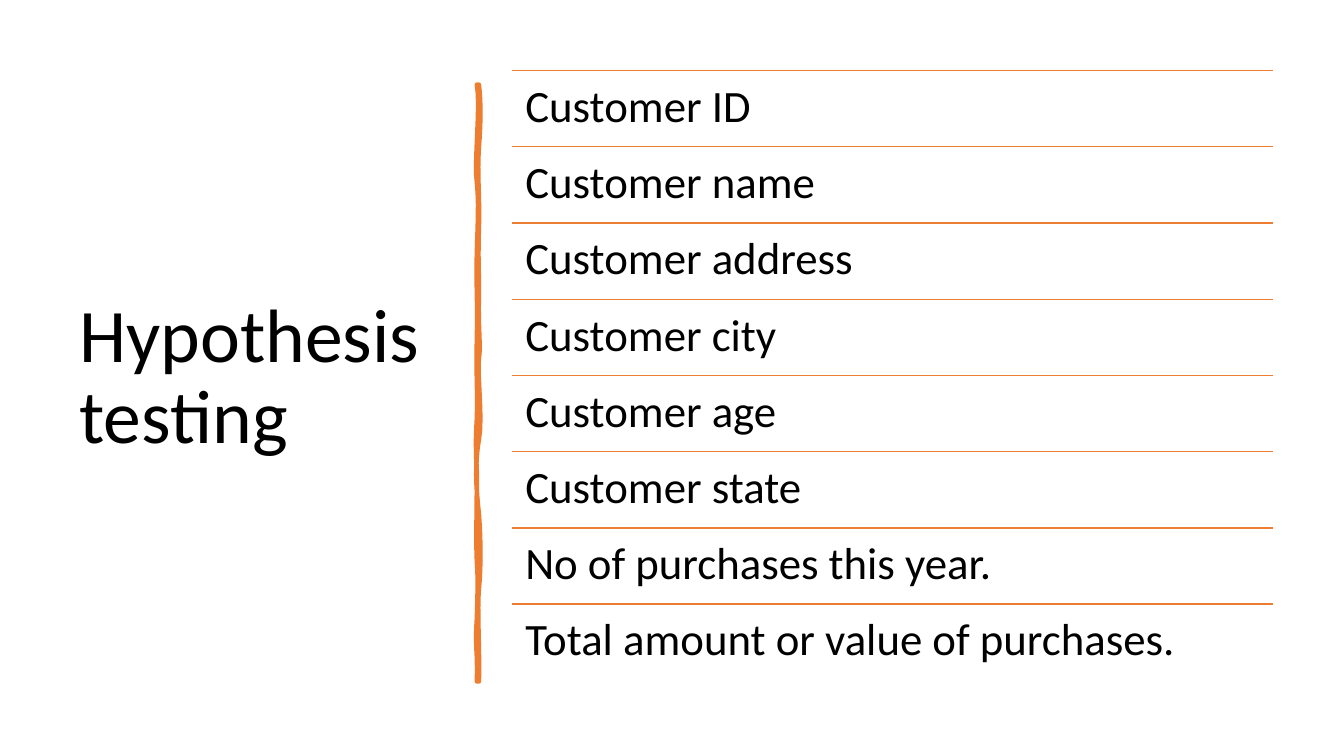
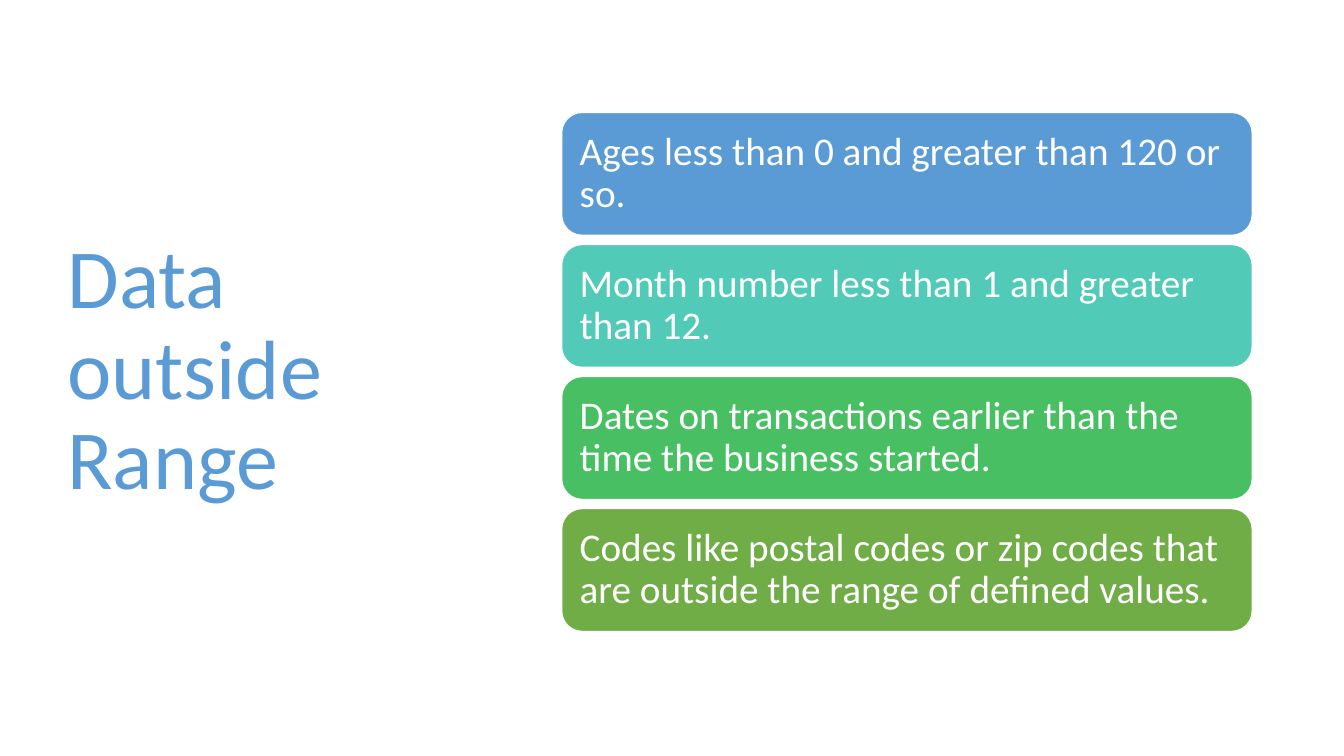
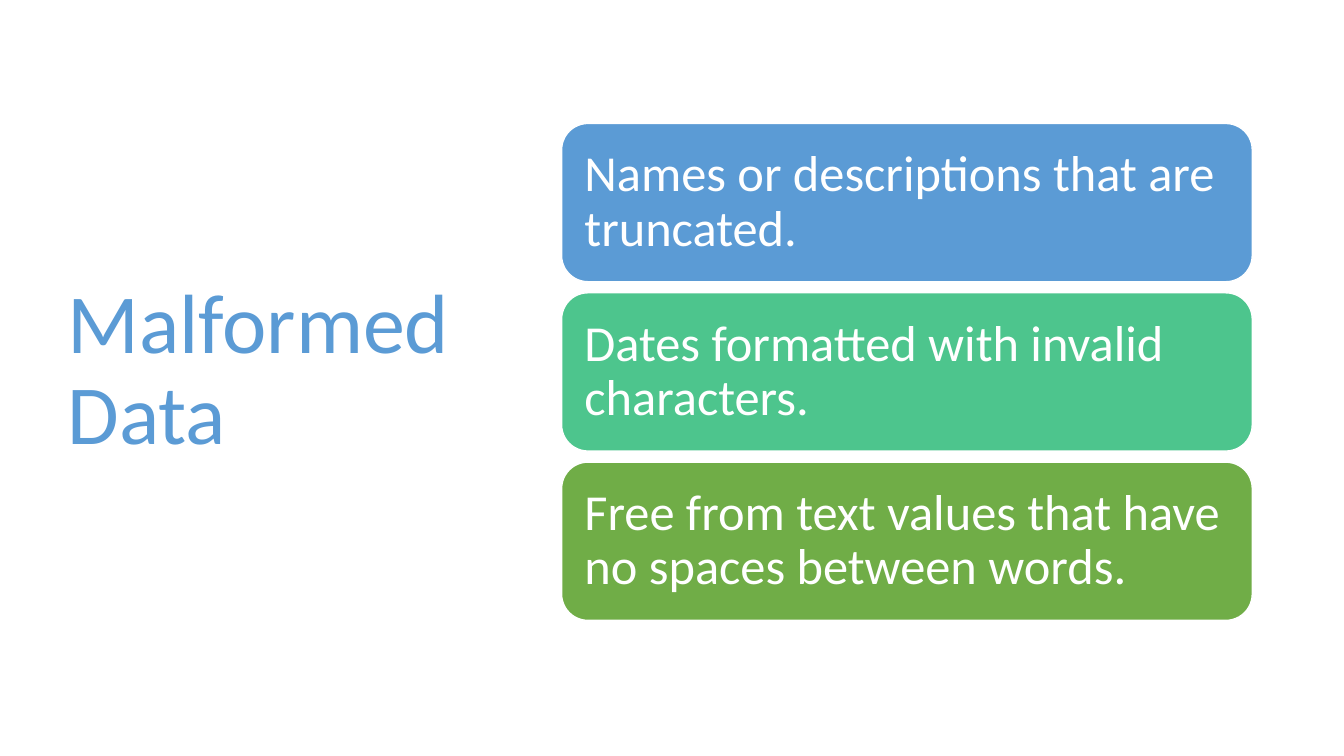
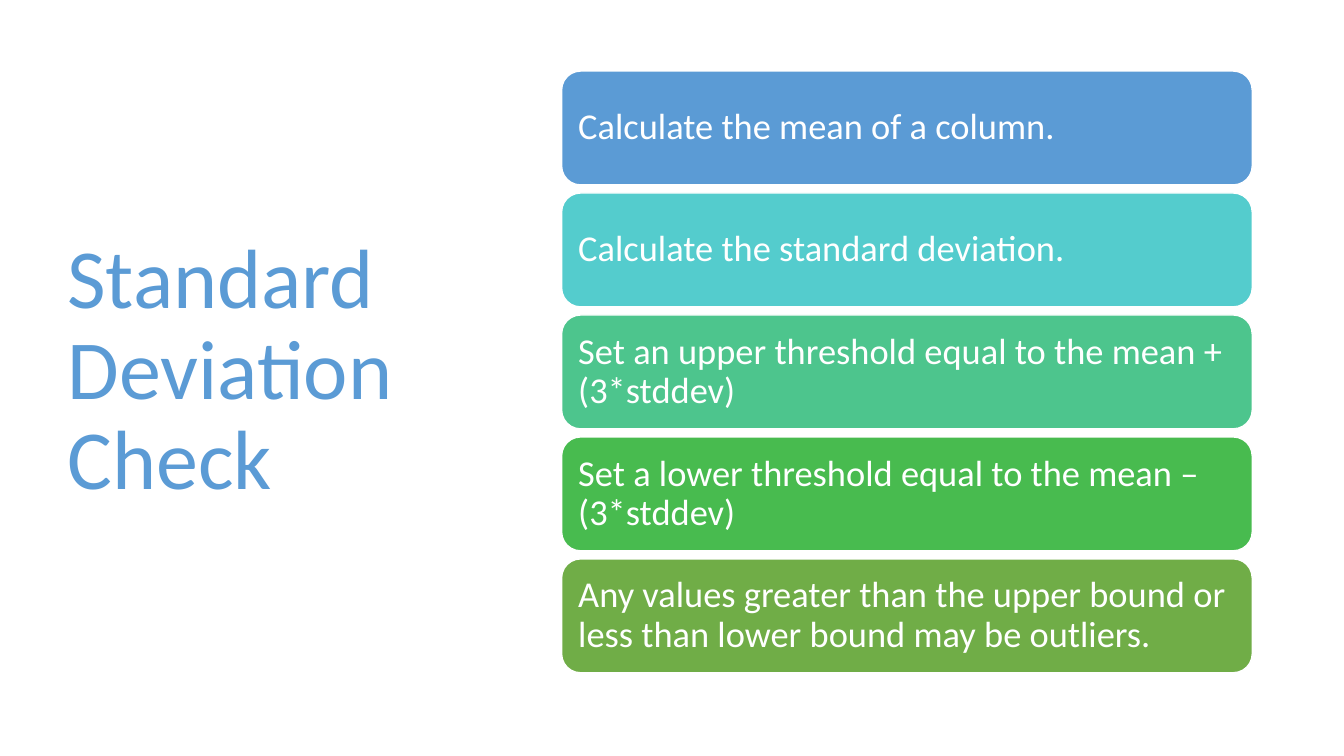
from pptx import Presentation
from pptx.dml.color import RGBColor
from pptx.enum.shapes import MSO_CONNECTOR, MSO_SHAPE
from pptx.enum.text import MSO_ANCHOR, PP_ALIGN
from pptx.oxml.ns import qn
from pptx.util import Emu, Pt
from lxml.etree import SubElement

SCALE = 9144
FONT = "Calibri"
BLACK, WHITE = "000000", "FFFFFF"
BLUE, ORANGE = "5B9BD5", "ED7D31"
AQUA, TEAL, MINT = "54CCCD", "52CAB8", "4DC58D"
GREEN, LEAF, OLIVE = "49BF64", "48BB4F", "70AD47"

FIELDS = (
    "Customer ID",
    "Customer name",
    "Customer address",
    "Customer city",
    "Customer age",
    "Customer state",
    "No of purchases this year.",
    "Total amount or value of purchases.",
)
RIGHT = (
    ((4, 18), (4, 35), (2, 62)),
    ((0, 89), (3, 111), (2, 142)),
    ((1, 173), (2, 178), (2, 210)),
    ((1, 241), (4, 258), (2, 272)),
    ((0, 286), (6, 330), (2, 352)),
    ((-2, 373), (-1, 400), (2, 426)),
    ((4, 452), (4, 480), (2, 500)),
    ((0, 519), (3, 566), (2, 592)),
)
LEFT = (
    ((1, 562), (-2, 560), (0, 529)),
    ((1, 499), (1, 486), (0, 473)),
    ((-1, 460), (0, 411), (0, 393)),
    ((0, 375), (-2, 361), (0, 331)),
    ((1, 302), (-1, 289), (0, 251)),
    ((1, 214), (-1, 197), (0, 166)),
    ((1, 134), (2, 116), (0, 97)),
    ((-3, 79), (4, 20), (0, 0)),
)
CHECKS = (
    ("Data outside Range", 28, (
        ("Ages less than 0 and greater than 120 or so.", BLUE),
        ("Month number less than 1 and greater than 12.", TEAL),
        ("Dates on transactions earlier than the time the business started.", GREEN),
        ("Codes like postal codes or zip codes that are outside the range of defined values.", OLIVE),
    )),
    ("Malformed Data", 36, (
        ("Names or descriptions that are truncated.", BLUE),
        ("Dates formatted with invalid characters.", MINT),
        ("Free from text values that have no spaces between words.", OLIVE),
    )),
    ("Standard Deviation Check", 26, (
        ("Calculate the mean of a column.", BLUE),
        ("Calculate the standard deviation.", AQUA),
        ("Set an upper threshold equal to the mean + (3*stddev)", MINT),
        ("Set a lower threshold equal to the mean – (3*stddev)", LEAF),
        ("Any values greater than the upper bound or less than lower bound may be outliers.", OLIVE),
    )),
)


def px(count):
    return Emu(round(count * SCALE))


def color(code):
    return RGBColor.from_string(code)


def paint(shape, fill, line, width):
    shape.shadow.inherit = False
    shape.fill.solid()
    shape.fill.fore_color.rgb = color(fill)
    shape.line.color.rgb = color(line)
    shape.line.width = Pt(width)


def write(shape, text, size, code, pad, anchor=MSO_ANCHOR.MIDDLE):
    frame = shape.text_frame
    frame.text = text
    frame.word_wrap = True
    frame.vertical_anchor = anchor
    frame.margin_left = frame.margin_right = px(pad[0])
    frame.margin_top = frame.margin_bottom = px(pad[1])
    para = frame.paragraphs[0]
    para.alignment = PP_ALIGN.LEFT
    para.line_spacing = 0.9
    para.font.name = FONT
    para.font.size = Pt(size)
    para.font.color.rgb = color(code)


def add_text(slide, box, text, size, code, pad=(10, 5), anchor=MSO_ANCHOR.MIDDLE):
    shape = slide.shapes.add_textbox(*map(px, box))
    write(shape, text, size, code, pad, anchor)


def trace(start, curves, steps=8):
    points = []
    for first, second, end in curves:
        for step in range(1, steps + 1):
            t = step / steps
            u = 1 - t
            points.append(tuple(
                u**3 * a + 3 * u * u * t * b + 3 * u * t * t * c + t**3 * d
                for a, b, c, d in zip(start, first, second, end)
            ))
        start = end
    return points


def add_brush(slide, left, top):
    points = [(2, 0), *trace((2, 0), RIGHT), (0, 592), *trace((0, 592), LEFT)]
    spots = [(px(left + x), px(top + y)) for x, y in points]
    pen = slide.shapes.build_freeform(*spots[0])
    pen.add_line_segments(spots[1:], close=True)
    paint(pen.convert_to_shape(), ORANGE, ORANGE, 3.25)


def add_rule(slide, left, top, width):
    rule = slide.shapes.add_connector(
        MSO_CONNECTOR.STRAIGHT, px(left), px(top), px(left + width), px(top))
    rule.line.color.rgb = color(ORANGE)
    rule.line.width = Pt(1)
    SubElement(rule._element.spPr, qn("a:effectLst"))


def add_rows(slide, box, items):
    left, top, width, height = box
    pitch = height / len(items)
    for index, item in enumerate(items):
        y = top + index * pitch
        add_rule(slide, left, y, width)
        add_text(slide, (left, y, width, pitch), item, 32, BLACK, (13, 13), MSO_ANCHOR.TOP)


def add_cards(slide, box, size, cards):
    left, top, width, height = box
    tall, gap, pad = (round(size * part) for part in (4.35, 0.31, 0.42))
    pitch = tall + gap
    start = top + (height - pitch * len(cards) + gap) / 2
    for index, (text, fill) in enumerate(cards):
        card = slide.shapes.add_shape(
            MSO_SHAPE.ROUNDED_RECTANGLE,
            *map(px, (left, start + index * pitch, width, tall)))
        paint(card, fill, WHITE, 1)
        write(card, text, size, WHITE, (pad, pad))


def build_list(slide):
    add_text(slide, (69, 70, 374, 611), "Hypothesis testing", 54, BLACK)
    add_brush(slide, 473, 84)
    add_rows(slide, (508, 70, 755, 605), FIELDS)


def build_check(slide, title, size, cards):
    add_text(slide, (57, 68, 416, 602), title, 60, BLUE)
    add_cards(slide, (557, 68, 685, 602), size, cards)


def main():
    deck = Presentation()
    deck.slide_width, deck.slide_height = px(1333), px(750)
    blank = deck.slide_layouts[6]
    build_list(deck.slides.add_slide(blank))
    for check in CHECKS:
        build_check(deck.slides.add_slide(blank), *check)
    deck.save("out.pptx")


if __name__ == "__main__":
    main()
